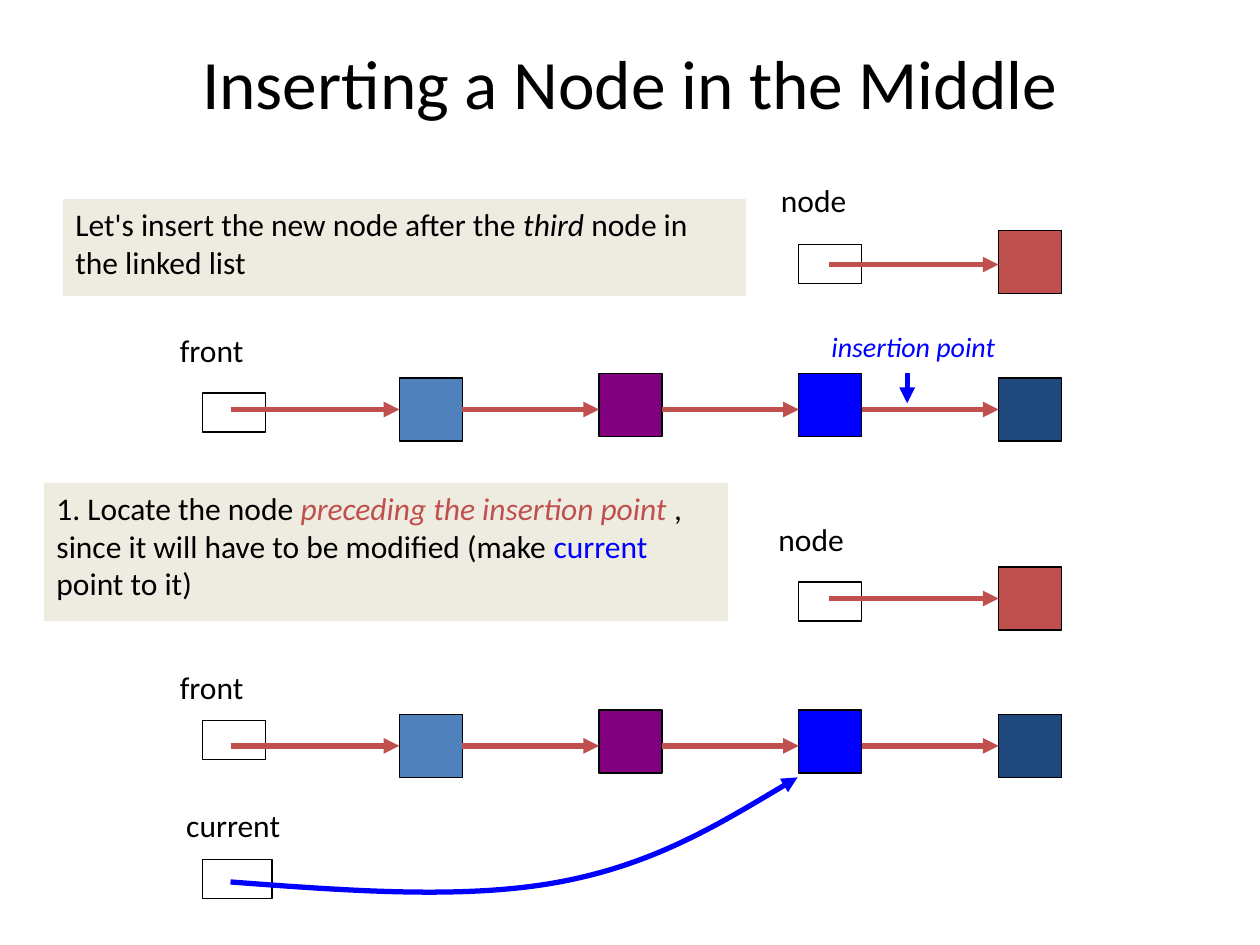
from dataclasses import dataclass

from lxml.etree import SubElement
from pptx import Presentation
from pptx.dml.color import RGBColor
from pptx.enum.shapes import MSO_CONNECTOR, MSO_SHAPE
from pptx.enum.text import MSO_ANCHOR, PP_ALIGN
from pptx.oxml.ns import qn
from pptx.util import Inches, Pt


@dataclass(frozen=True)
class Theme:
    font: str = "Calibri"
    title: float = 39.6
    body: float = 18
    note: float = 16
    black: str = "000000"
    red: str = "C0504D"
    blue: str = "0000FF"
    purple: str = "800080"
    light_blue: str = "4F81BD"
    navy: str = "1F497D"
    panel: str = "EEECE1"
    outline: float = 0.75
    arrow: float = 3


THEME = Theme()
WIDTH, HEIGHT = 10, 7.5
PITCH = 1.585  # distance between columns of nodes
NODE = 0.5
POINTER_HEIGHT = 0.31

TITLE = "Inserting a Node in the Middle"
# Each span is its text and the format that differs from plain body text
PANELS = [
    ((0.5, 1.58, 5.42, 0.77), [
        ("Let's insert the new node after the ", {}),
        ("third ", {"italic": True}),
        ("node in the linked list", {}),
    ]),
    ((0.35, 3.83, 5.43, 1.1), [
        ("1. Locate the node ", {}),
        ("preceding the insertion point", {"color": THEME.red, "italic": True}),
        (" , since it will have to be modified (make ", {}),
        ("current ", {"color": THEME.blue}),
        ("point to it)", {}),
    ]),
]
LABELS = [
    ("front", 1.33, 2.58, 1), ("node", 6.1, 1.39, 1),
    ("front", 1.33, 5.25, 1), ("node", 6.08, 4.08, 1),
    ("current", 1.38, 6.35, 1.33),
]
# Column, colour and rise of the node's top above the arrows
CHAIN = [(2, THEME.light_blue, 0.25), (3, THEME.purple, 0.285),
         (4, THEME.blue, 0.285), (5, THEME.navy, 0.25)]
# Arrow height and top of the "front" pointer
CHAIN_ROWS = [(3.25, 3.12), (5.92, 5.72)]
# Arrow height, top of the "node" pointer, top of the new node
NEW_NODE_ROWS = [(2.1, 1.94, 1.83), (4.75, 4.62, 4.5)]
# Start, then two control points and an end for each curve
CURRENT_CURVE = [(1.83, 7), (2.76, 7.07), (3.69, 7.14), (4.44, 7),
                 (5.19, 6.86), (5.76, 6.51), (6.33, 6.17)]

deck = Presentation()
deck.slide_width, deck.slide_height = Inches(WIDTH), Inches(HEIGHT)
page = deck.slides.add_slide(deck.slide_layouts[6])


def column(number):
    return PITCH * number


def rgb(color):
    return RGBColor.from_string(color)


def write(box, spans, size=THEME.body, align=PP_ALIGN.LEFT, anchor=MSO_ANCHOR.TOP):
    frame = box.text_frame
    frame.word_wrap = True
    frame.vertical_anchor = anchor
    para = frame.paragraphs[0]
    para.alignment = align
    for text, style in spans:
        span = para.add_run()
        span.text = text
        span.font.name = THEME.font
        span.font.size = Pt(size)
        span.font.italic = style.get("italic", False)
        span.font.color.rgb = rgb(style.get("color", THEME.black))


def add_text(text, left, top, width, height, color=THEME.black, italic=False, **layout):
    box = page.shapes.add_textbox(*map(Inches, (left, top, width, height)))
    write(box, [(text, {"color": color, "italic": italic})], **layout)


def add_box(left, top, width, height, fill=None, outlined=True):
    box = page.shapes.add_shape(MSO_SHAPE.RECTANGLE, *map(Inches, (left, top, width, height)))
    box.shadow.inherit = False
    if fill:
        box.fill.solid()
        box.fill.fore_color.rgb = rgb(fill)
    else:
        box.fill.background()
    if outlined:
        box.line.color.rgb = rgb(THEME.black)
        box.line.width = Pt(THEME.outline)
    else:
        box.line.fill.background()
    return box


def style_arrow(line, color):
    line.color.rgb = rgb(color)
    line.width = Pt(THEME.arrow)
    SubElement(line.fill._xPr, qn("a:tailEnd"), type="triangle")


def add_arrow(start, end, color=THEME.red):
    arrow = page.shapes.add_connector(MSO_CONNECTOR.STRAIGHT, *map(Inches, start + end))
    style_arrow(arrow.line, color)
    SubElement(arrow._element.spPr, qn("a:effectLst"))


def add_curved_arrow(points, color):
    """Draw cubic curves: a start point, then three points for each curve."""
    builder = page.shapes.build_freeform(*map(Inches, points[0]), scale=1.0)
    builder.add_line_segments([tuple(map(Inches, point)) for point in points[1:]], close=False)
    curve = builder.convert_to_shape()
    curve.shadow.inherit = False
    curve.fill.background()
    style_arrow(curve.line, color)
    outline = next(curve._element.iter(qn("a:path")))
    segments = outline.findall(qn("a:lnTo"))
    for first in range(0, len(segments), 3):
        cubic = SubElement(outline, qn("a:cubicBezTo"))
        for segment in segments[first:first + 3]:
            cubic.append(segment[0])
            outline.remove(segment)


add_text(TITLE, 0.5, 0.3, 9, 0.7, size=THEME.title,
         align=PP_ALIGN.CENTER, anchor=MSO_ANCHOR.MIDDLE)

for place, spans in PANELS:
    write(add_box(*place, fill=THEME.panel, outlined=False), spans)

for text, left, top, width in LABELS:
    add_text(text, left, top, width, 0.43)

for arrow_y, pointer_top in CHAIN_ROWS:
    add_box(1.61, pointer_top, NODE, POINTER_HEIGHT)
    start = 1.83
    for number, color, rise in CHAIN:
        add_box(column(number), arrow_y - rise, NODE, NODE, fill=color)
    for number, _, _ in CHAIN:
        add_arrow((start, arrow_y), (column(number), arrow_y))
        start = column(number) + NODE

for arrow_y, pointer_top, node_top in NEW_NODE_ROWS:
    add_box(column(4), pointer_top, NODE, POINTER_HEIGHT)
    add_box(column(5), node_top, NODE, NODE, fill=THEME.red)
    add_arrow((6.58, arrow_y), (column(5), arrow_y))

add_box(1.61, 6.82, 0.55, POINTER_HEIGHT)
add_curved_arrow(CURRENT_CURVE, THEME.blue)

add_arrow((7.2, 2.96), (7.2, 3.2), color=THEME.blue)
add_text("insertion point", 6.5, 2.57, 2.13, 0.37,
         color=THEME.blue, italic=True, size=THEME.note)

deck.save("out.pptx")
